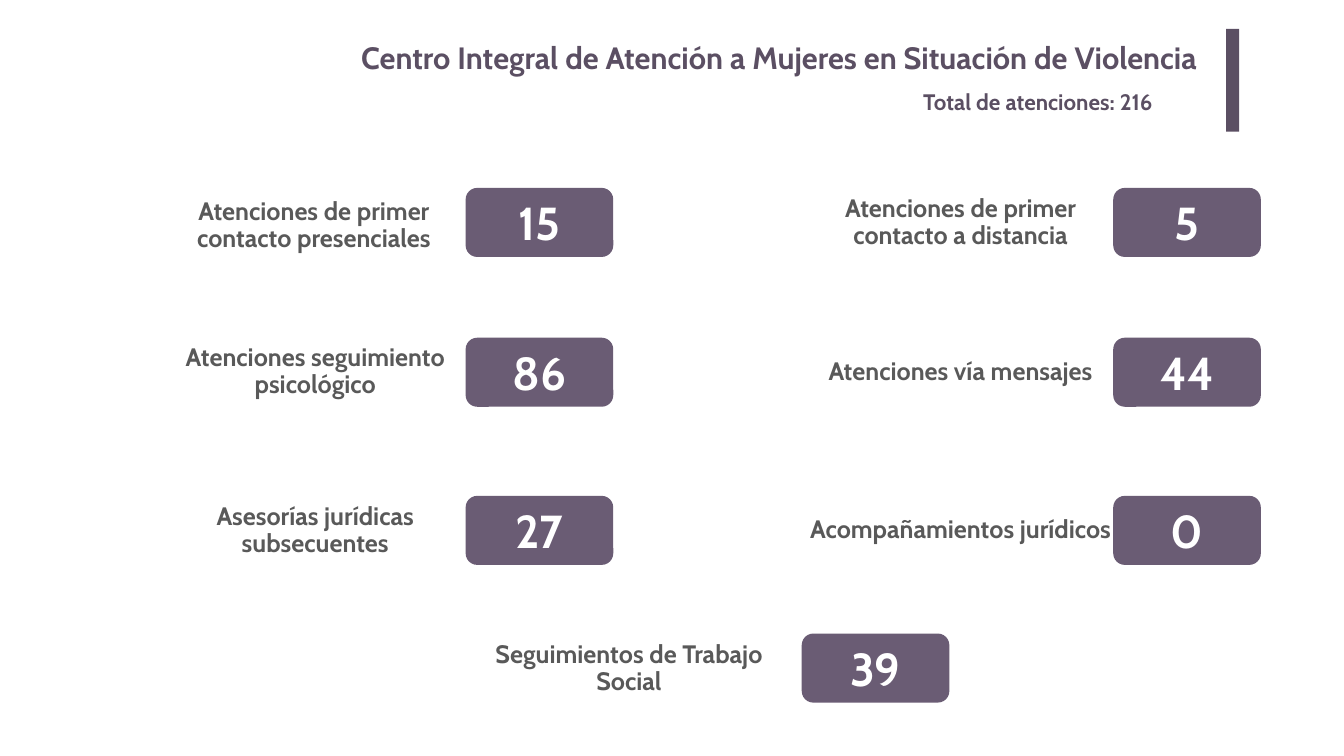
import pptx
import pptx.util
import pptx.dml.color
import pptx.enum.shapes
import pptx.enum.text

Cm = pptx.util.Cm
ALIGN = pptx.enum.text.PP_ALIGN
ANCHOR = pptx.enum.text.MSO_ANCHOR
SHAPE = pptx.enum.shapes.MSO_SHAPE

DARK_PURPLE = pptx.dml.color.RGBColor(0x5B, 0x4F, 0x63)
CARD_PURPLE = pptx.dml.color.RGBColor(0x6A, 0x5C, 0x74)
GREY = pptx.dml.color.RGBColor(0x59, 0x59, 0x59)
WHITE = pptx.dml.color.RGBColor(0xFF, 0xFF, 0xFF)


def write_text(box, text, size, color, frame_format, paragraph_format):
    frame = box.text_frame
    frame.text = text
    frame.word_wrap = True
    frame.auto_size = pptx.enum.text.MSO_AUTO_SIZE.NONE
    paragraph = frame.paragraphs[0]
    font_format = {"name": "Cabin", "size": pptx.util.Pt(size), "bold": True}
    for target, values in ((frame, frame_format), (paragraph, paragraph_format),
                           (paragraph.font, font_format)):
        for key, value in values.items():
            setattr(target, key, value)
    paragraph.font.color.rgb = color


def add_block(slide, kind, place, color):
    block = slide.shapes.add_shape(kind, *map(Cm, place))
    block.shadow.inherit = False
    block.fill.solid()
    block.fill.fore_color.rgb = color
    block.line.fill.background()
    return block


presentation = pptx.Presentation()
presentation.slide_width = Cm(67.74)
presentation.slide_height = Cm(38.1)
slide = presentation.slides.add_slide(presentation.slide_layouts[5])

# Heading with its total and side bar
heading = slide.shapes.title
heading_place = {"left": 9.3, "top": 1.7, "width": 51.56, "height": 2.59}
for key, value in heading_place.items():
    setattr(heading, key, Cm(value))
write_text(heading, "Centro Integral de Atención a Mujeres en Situación de Violencia",
           44, DARK_PURPLE,
           {"vertical_anchor": ANCHOR.TOP, "margin_left": Cm(0.51),
            "margin_right": Cm(0.51), "margin_top": Cm(0.25),
            "margin_bottom": Cm(0.25)},
           {"alignment": ALIGN.RIGHT, "space_before": 0})

add_block(slide, SHAPE.RECTANGLE, (61.8, 1.45, 0.66, 5.18), DARK_PURPLE)

total = slide.shapes.add_textbox(Cm(46.28), Cm(4.34), Cm(15.04), Cm(1.63))
write_text(total, "Total de atenciones: 216", 32, DARK_PURPLE,
           {"vertical_anchor": ANCHOR.TOP}, {"alignment": ALIGN.LEFT})

# Services: label, label place, count, card corner
LEFT_CARD, RIGHT_CARD = 23.47, 56.11
ROWS = (9.47, 17.02, 24.99)
services = [
    ("Atenciones de primer contacto presenciales",
     (8.86, 9.65, 13.92, 3.48), 15, (LEFT_CARD, ROWS[0])),
    ("Atenciones de primer contacto a distancia",
     (41.86, 9.68, 13.11, 3.07), 5, (RIGHT_CARD, ROWS[0])),
    ("Atenciones seguimiento psicológico",
     (6.09, 18.08, 19.6, 1.35), 86, (LEFT_CARD, ROWS[1])),
    ("Atenciones vía mensajes",
     (40.89, 17.42, 15.04, 2.67), 44, (RIGHT_CARD, ROWS[1])),
    ("Asesorías jurídicas subsecuentes",
     (8.2, 25.73, 15.37, 2.03), 27, (LEFT_CARD, ROWS[2])),
    ("Acompañamientos jurídicos",
     (40.21, 25.91, 16.41, 1.63), 0, (RIGHT_CARD, ROWS[2])),
    ("Seguimientos de Trabajo Social",
     (23.47, 31.93, 16.46, 3.58), 39, (40.41, 31.93)),
]
for name, name_place, count, corner in services:
    label = slide.shapes.add_textbox(*map(Cm, name_place))
    write_text(label, name, 36, GREY, {"vertical_anchor": ANCHOR.MIDDLE},
               {"alignment": ALIGN.CENTER, "line_spacing": 0.9})
    card = add_block(slide, SHAPE.ROUNDED_RECTANGLE, (*corner, 7.44, 3.48), CARD_PURPLE)
    write_text(card, str(count), 66, WHITE, {"vertical_anchor": ANCHOR.MIDDLE},
               {"alignment": ALIGN.CENTER})

presentation.save("out.pptx")
